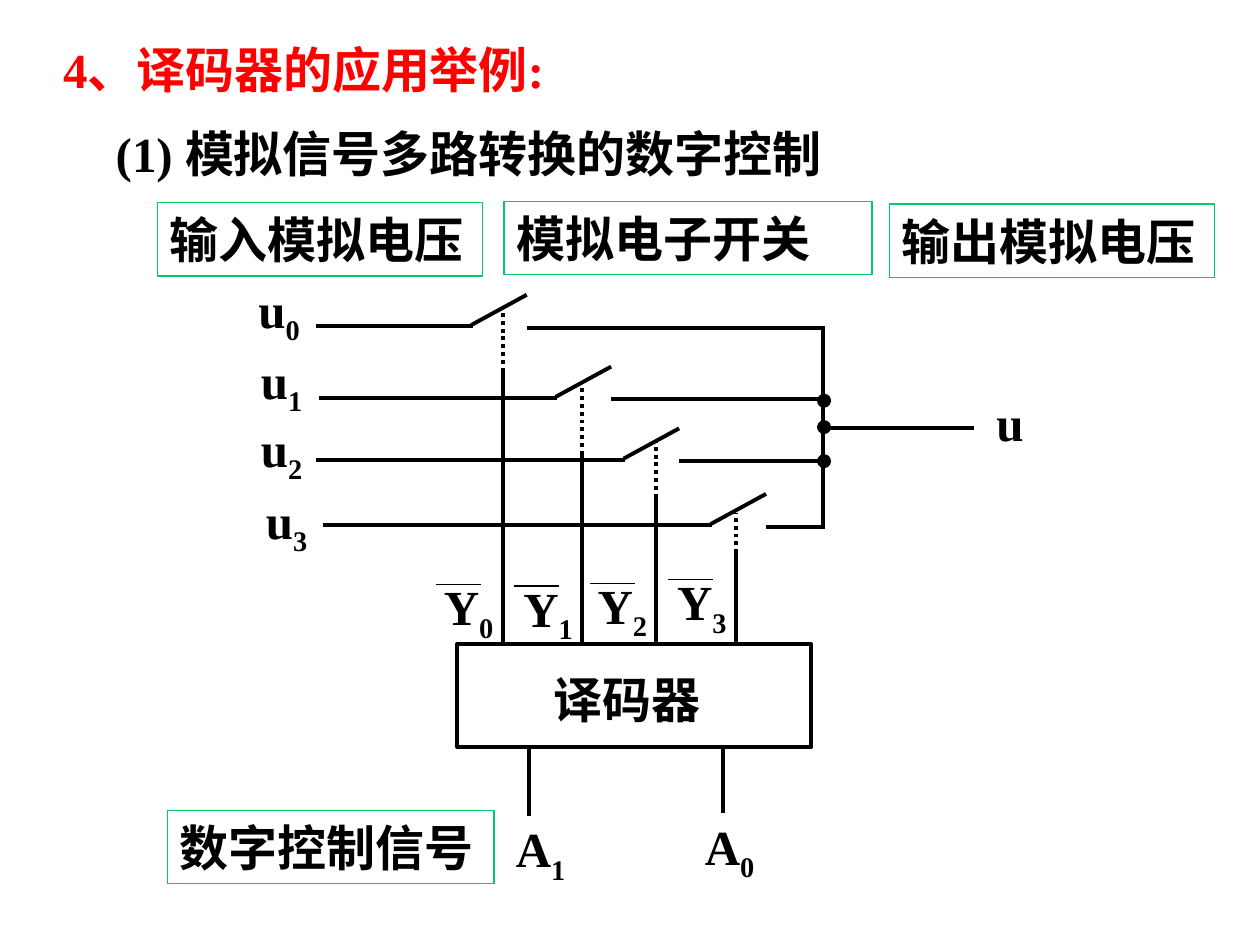
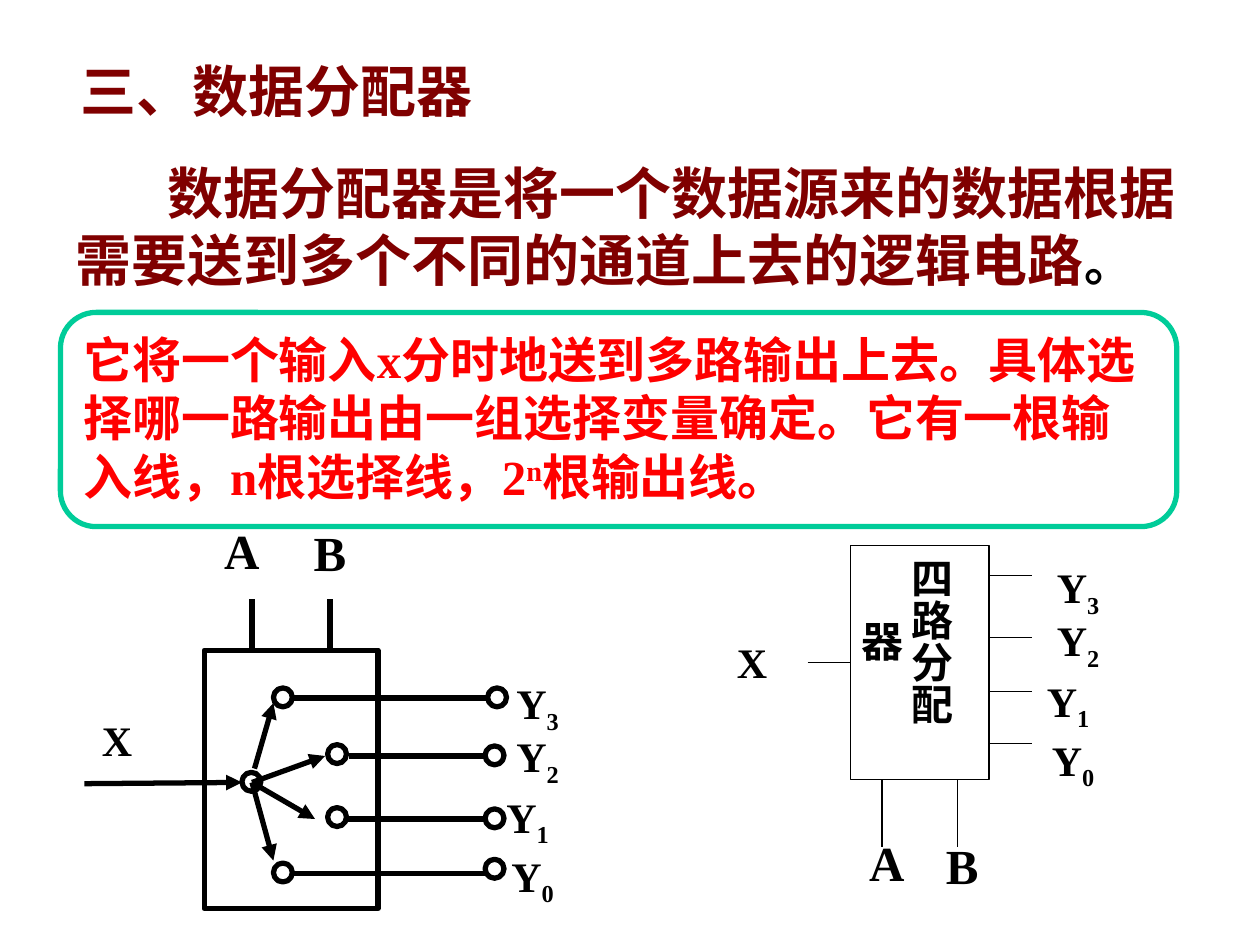
from lxml import etree
from pptx import Presentation
from pptx.dml.color import RGBColor
from pptx.enum.dml import MSO_LINE
from pptx.enum.shapes import MSO_CONNECTOR, MSO_SHAPE
from pptx.enum.text import MSO_ANCHOR, MSO_AUTO_SIZE, PP_ALIGN
from pptx.oxml.ns import qn
from pptx.util import Inches, Pt

BLACK = RGBColor(0, 0, 0)
WHITE = RGBColor(255, 255, 255)
RED = RGBColor(255, 0, 0)
MAROON = RGBColor(0x80, 0, 0)
GREEN = RGBColor(0, 0xCC, 0x66)
TEAL = RGBColor(0, 0xCC, 0x99)
FONT = "Times New Roman"
TITLE_ONLY = 5
LEFT, CENTER = PP_ALIGN.LEFT, PP_ALIGN.CENTER
TOP, MIDDLE = MSO_ANCHOR.TOP, MSO_ANCHOR.MIDDLE
NO_AUTOFIT = MSO_AUTO_SIZE.NONE
STRAIGHT = MSO_CONNECTOR.STRAIGHT
RECTANGLE, ROUNDED, OVAL = MSO_SHAPE.RECTANGLE, MSO_SHAPE.ROUNDED_RECTANGLE, MSO_SHAPE.OVAL
DOTTED = MSO_LINE.ROUND_DOT
SUBSCRIPT, SUPERSCRIPT = -25000, 30000


def add_run(paragraph, text, size=28, color=BLACK, baseline=0):
    """Append one bold run, optionally raised or lowered."""
    run = paragraph.add_run()
    run.text = text
    run.font.name, run.font.size, run.font.bold = FONT, Pt(size), True
    run.font.color.rgb = color
    if baseline:
        run.font._rPr.set("baseline", str(baseline))


def prepare_text(shape, align=LEFT, anchor=MIDDLE):
    """Set up the text frame of a shape and return its paragraph."""
    frame = shape.text_frame
    frame.word_wrap, frame.auto_size = True, NO_AUTOFIT
    frame.vertical_anchor = anchor
    paragraph = frame.paragraphs[0]
    paragraph.alignment = align
    return paragraph


def add_title_slide(presentation, title, box, size, color, anchor):
    """Add a title-only slide and place its title."""
    slide = presentation.slides.add_slide(presentation.slide_layouts[TITLE_ONLY])
    shape = slide.shapes.title
    shape.left, shape.top, shape.width, shape.height = map(Inches, box)
    add_run(prepare_text(shape, anchor=anchor), title, size, color)
    return slide


def add_label(slide, box, text, subscript="", size=28, align=LEFT, anchor=TOP):
    """Add a text box with an optional subscript and return its paragraph."""
    shape = slide.shapes.add_textbox(*map(Inches, box))
    paragraph = prepare_text(shape, align, anchor)
    add_run(paragraph, text, size)
    if subscript:
        add_run(paragraph, subscript, size, baseline=SUBSCRIPT)


def add_box(slide, kind, box, line=BLACK, width=2.25, fill=None):
    """Add an outlined preset shape, hollow unless a fill is given."""
    shape = slide.shapes.add_shape(kind, *map(Inches, box))
    shape.shadow.inherit = False
    shape.line.color.rgb, shape.line.width = line, Pt(width)
    if fill is None:
        shape.fill.background()
    else:
        shape.fill.solid()
        shape.fill.fore_color.rgb = fill
    return shape


def add_line(slide, start, end, width=2.25, dash=None, arrow=False):
    """Draw a straight black line, dotted or with an arrowhead if asked."""
    line = slide.shapes.add_connector(STRAIGHT, *map(Inches, (*start, *end)))
    line.line.color.rgb, line.line.width = BLACK, Pt(width)
    if dash:
        line.line.dash_style = dash
    properties = line._element.spPr
    if arrow:
        etree.SubElement(properties.find(qn("a:ln")), qn("a:tailEnd"), type="triangle")
    etree.SubElement(properties, qn("a:effectLst"))
    return line


def add_caption(slide, box, text):
    """Add a green framed caption."""
    shape = add_box(slide, RECTANGLE, box, GREEN, 0.75)
    add_run(prepare_text(shape), text)


def add_switch(slide, x, y):
    """Draw an open switch: two contacts and a raised arm."""
    add_line(slide, (x, y), (x + 0.47, y))
    add_line(slide, (x + 0.9, y + 0.01), (x + 1.37, y + 0.01))
    add_line(slide, (x + 0.46, y - 0.01), (x + 0.9, y - 0.25))


def add_channels(slide):
    """Draw the four switched inputs and the bus that joins them."""
    channels = [
        (3.28, 2.59, 1.87, 2.2, 2.51, 3.37, 4.47),
        (3.95, 3.16, 1.89, 2.76, 2.53, 4.08, 5.24),
        (4.49, 3.65, 1.89, 3.3, 2.51, 4.58, 5.7),
        (5.18, 4.17, 1.93, 3.87, 2.56, 5.28, None),
    ]
    bus_x = 6.53
    for index, (x, y, label_x, label_y, start, end, bus_start) in enumerate(channels):
        add_switch(slide, x, y)
        add_line(slide, (start, y), (end, y))
        if bus_start:
            add_line(slide, (bus_start, y + 0.01), (bus_x, y + 0.01))
        add_label(slide, (label_x, label_y, 0.69, 0.57), "u", str(index),
                  align=CENTER, anchor=MIDDLE)
    add_line(slide, (bus_x, 2.59), (bus_x, 4.2))
    add_line(slide, (bus_x, 3.4), (7.73, 3.4))
    for top in (3.14, 3.35, 3.62):
        add_box(slide, OVAL, (6.5, top, 0.08, 0.08), fill=BLACK)
    add_label(slide, (7.81, 3.06, 0.41, 0.57), "u", align=CENTER, anchor=MIDDLE)


def add_decoder(slide):
    """Draw the decoder, its address inputs and its control outputs."""
    add_box(slide, RECTANGLE, (3.63, 5.11, 2.81, 0.82), fill=WHITE)
    add_label(slide, (3.89, 5.26, 2.17, 0.57), "译码器", align=CENTER, anchor=MIDDLE)
    for x, bottom, label_x, label_y, digit in (
            (4.2, 6.48, 3.85, 6.48, "1"), (5.74, 6.45, 5.35, 6.46, "0")):
        add_line(slide, (x, 5.94), (x, bottom))
        add_label(slide, (label_x, label_y, 0.88, 0.57), "A", digit,
                  align=CENTER, anchor=MIDDLE)
    controls = [
        (3.99, 2.95, 2.44, 3.12, 4.56, 3.46, 4.64),
        (4.62, 3.61, 3.03, 3.75, 4.57, 4.08, 4.65),
        (5.21, 3.95, 3.51, 4.34, 4.55, 4.68, 4.63),
        (5.84, 4.39, 4.07, 4.97, 4.52, 5.3, 4.6),
    ]
    for index, (x, joint, top, label_x, label_y, bar_x, bar_y) in enumerate(controls):
        add_line(slide, (x, 5.11), (x, joint))
        add_line(slide, (x, joint), (x, top), dash=DOTTED)
        add_label(slide, (label_x, label_y, 1.2, 0.57), "Y", str(index),
                  align=CENTER, anchor=MIDDLE)
        add_line(slide, (bar_x, bar_y), (bar_x + 0.36, bar_y), 0.75)


def add_output_labels(slide, shift_x=0, shift_y=0):
    """Write Y3 to Y0 beside the outputs of a distributor."""
    places = [("3", 4, 5.33), ("2", 4, 5.75), ("1", 3.92, 6.23), ("0", 3.96, 6.7)]
    for digit, x, y in places:
        add_label(slide, (x + shift_x, y + shift_y, 0.7, 0.5), "Y", digit, 24)


def add_ring(slide, x, y):
    """Draw a contact ring."""
    add_box(slide, OVAL, (x, y, 0.15, 0.15), width=3, fill=WHITE)


def add_rotary_switch(slide):
    """Draw the distributor as a rotary switch with four outputs."""
    add_box(slide, RECTANGLE, (1.62, 5.16, 1.38, 2.05), width=3, fill=WHITE)
    outputs = [
        (2.17, 5.46, 2.31, 5.54, 3.87, 5.46),
        (2.6, 5.91, 2.77, 6, 3.85, 5.92),
        (2.6, 6.41, 2.75, 6.5, 3.85, 6.42),
        (2.17, 6.85, 2.33, 6.93, 3.85, 6.82),
    ]
    for x, y, wire_x, wire_y, end_x, end_y in outputs:
        add_ring(slide, x, y)
        add_line(slide, (wire_x, wire_y), (3.88, wire_y), 3)
        add_ring(slide, end_x, end_y)
    add_ring(slide, 1.92, 6.13)
    add_line(slide, (0.67, 6.22), (1.92, 6.21), 3, arrow=True)
    hub = (2, 6.21)
    for start, tip in (((2.02, 6.1), (2.17, 5.58)), (hub, (2.58, 6)),
                       (hub, (2.5, 6.5)), (hub, (2.17, 6.83))):
        add_line(slide, start, tip, 3, arrow=True)
    for name, x, label_x, label_y in (("A", 2, 1.68, 4.08), ("B", 2.62, 2.39, 4.1)):
        add_line(slide, (x, 5.17), (x, 4.75), 3)
        add_label(slide, (label_x, label_y, 0.7, 0.57), name)
    add_label(slide, (0.71, 5.62, 0.7, 0.5), "X", size=24)
    add_output_labels(slide)


def add_block_symbol(slide):
    """Draw the distributor as a block with vertical text."""
    block = add_box(slide, RECTANGLE, (6.75, 4.33, 1.1, 1.86), width=0.75, fill=WHITE)
    paragraph = prepare_text(block, CENTER, TOP)
    frame = block.text_frame
    frame.margin_left, frame.margin_right = Inches(0.22), Inches(0.26)
    frame._txBody.bodyPr.set("vert", "eaVert")
    add_run(paragraph, "四路分配器", 24)
    for y in (4.57, 5.06, 5.49, 5.9):
        add_line(slide, (7.85, y), (8.19, y), 0.75)
    add_line(slide, (6.41, 5.26), (6.75, 5.26), 0.75).end_connect(block, 1)
    for name, x, label_x, label_y in (("A", 7, 6.8, 6.56), ("B", 7.6, 7.41, 6.58)):
        add_line(slide, (x, 6.19), (x, 6.72), 0.75)
        add_label(slide, (label_x, label_y, 0.7, 0.57), name)
    add_label(slide, (5.75, 5, 0.7, 0.5), "X", size=24)
    add_output_labels(slide, 4.29, -0.92)


def add_definition(slide):
    """Write the definition and the framed explanation."""
    shape = slide.shapes.add_textbox(*map(Inches, (0.5, 1.21, 8.94, 1.17)))
    paragraph = prepare_text(shape, anchor=TOP)
    paragraph._p.get_or_add_pPr().set("indent", str(Inches(0.73)))
    add_run(paragraph, "数据分配器是将一个数据源来的数据根据需要送到多个不同的通道上去的逻辑电路",
            32, MAROON)
    add_run(paragraph, "。")
    frame = add_box(slide, ROUNDED, (0.48, 2.48, 8.86, 1.7), TEAL, 3)
    paragraph = prepare_text(frame, anchor=TOP)
    add_run(paragraph, "它将一个输入x分时地送到多路输出上去。具体选择哪一路输出由一组选择变量确定。"
            "它有一根输入线，n根选择线，2", color=RED)
    add_run(paragraph, "n", color=RED, baseline=SUPERSCRIPT)
    add_run(paragraph, "根输出线。", color=RED)


def main():
    """Build both slides and save them."""
    presentation = Presentation()
    presentation.slide_width, presentation.slide_height = Inches(10), Inches(7.5)

    slide = add_title_slide(presentation, "4、译码器的应用举例:",
                            (0.4, 0.26, 4.52, 0.57), 28, RED, MIDDLE)
    add_label(slide, (0.82, 0.93, 6.22, 0.57), "(1) 模拟信号多路转换的数字控制", anchor=MIDDLE)
    add_caption(slide, (1.25, 1.61, 2.58, 0.58), "输入模拟电压")
    add_caption(slide, (4, 1.6, 2.92, 0.58), "模拟电子开关")
    add_caption(slide, (7.06, 1.62, 2.58, 0.58), "输出模拟电压")
    add_caption(slide, (1.33, 6.43, 2.59, 0.58), "数字控制信号")
    add_channels(slide)
    add_decoder(slide)

    slide = add_title_slide(presentation, "三、数据分配器",
                            (0.54, 0.4, 5.04, 0.63), 32, MAROON, TOP)
    add_definition(slide)
    add_rotary_switch(slide)
    add_block_symbol(slide)

    presentation.save("out.pptx")


if __name__ == "__main__":
    main()
